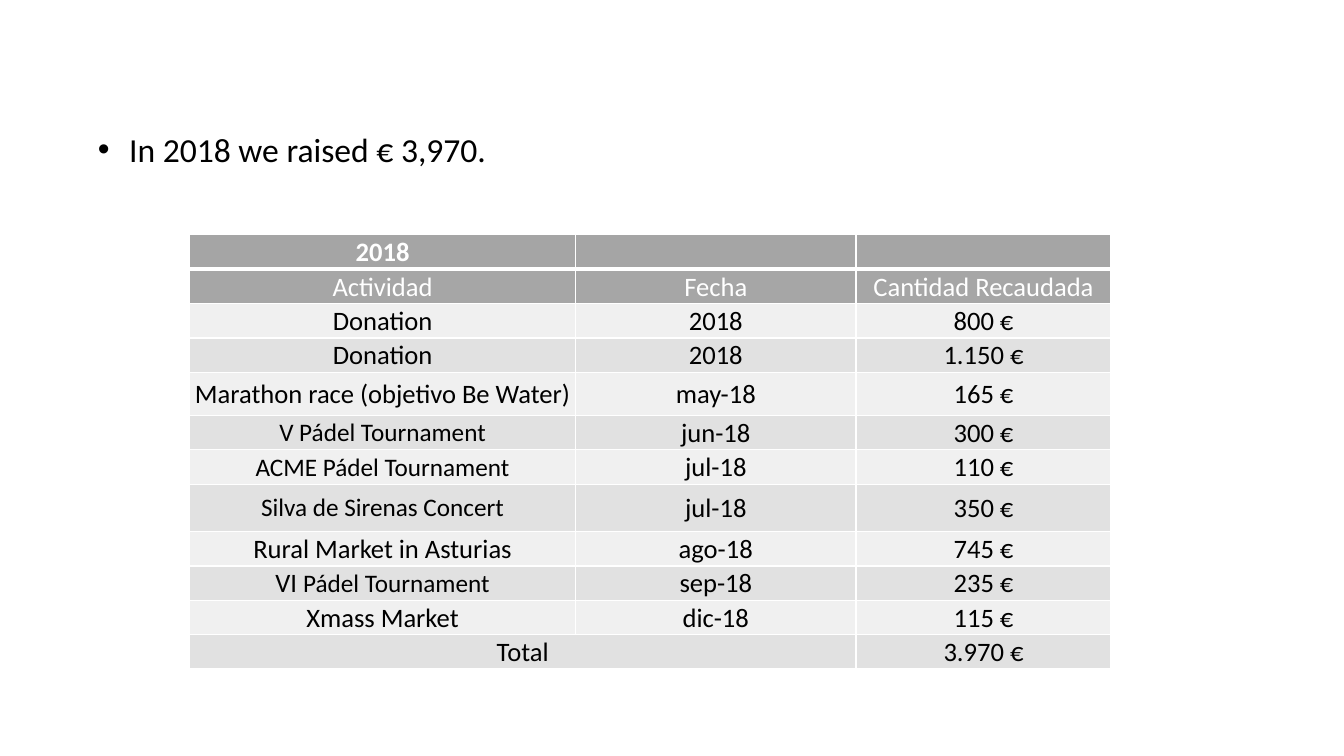
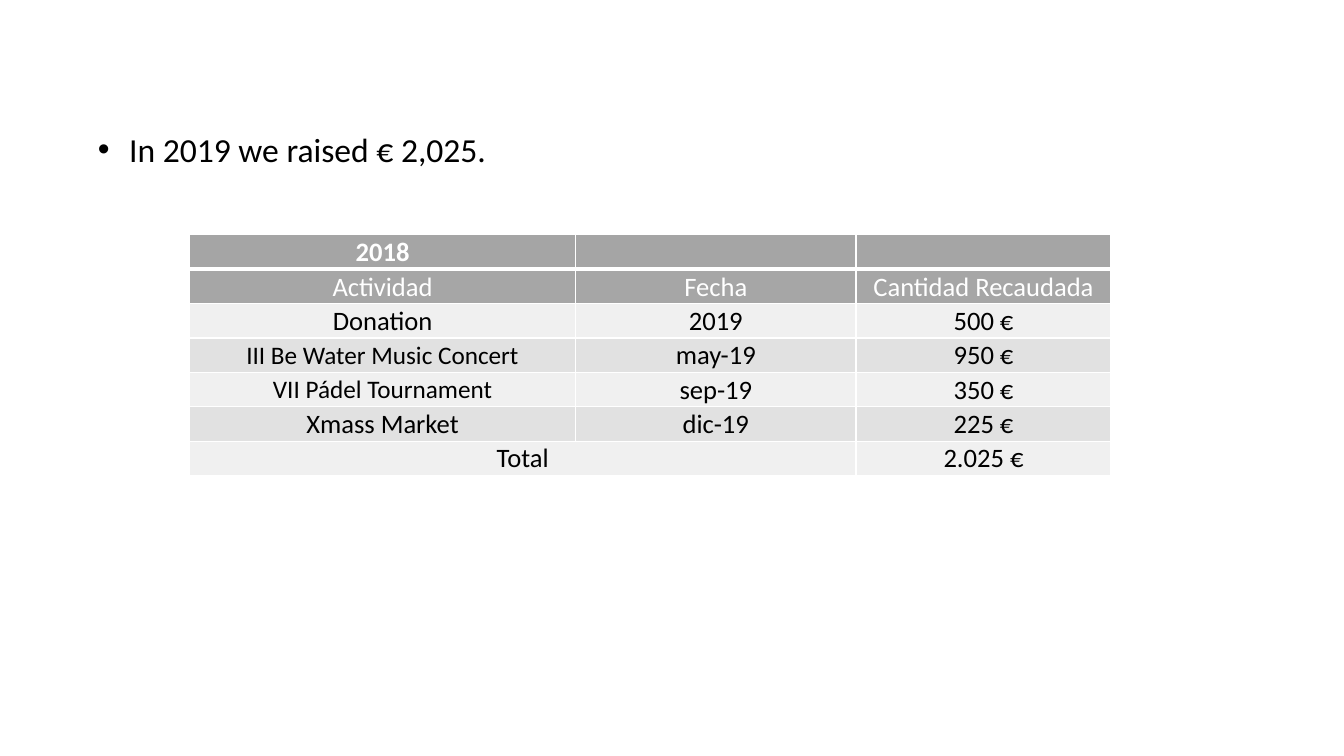
from dataclasses import dataclass

from lxml.etree import SubElement as Sub
from pptx import Presentation
from pptx.dml.color import RGBColor as Rgb
from pptx.enum.text import MSO_ANCHOR as Anchor, MSO_AUTO_SIZE as AutoSize, PP_ALIGN as Align
from pptx.oxml.ns import qn
from pptx.util import Emu, Inches, Pt


@dataclass(frozen=True)
class Theme:
    font: str = "Calibri"
    dark: str = "000000"
    light: str = "FFFFFF"
    year_fill: str = "A5A5A5"
    head_fill: str = "A6A6A6"
    bands: tuple = ("F0F0F0", "E1E1E1")
    bullet_size: int = 24
    cell_size: int = 19
    small_size: int = 18
    thin: int = 1
    thick: int = 3


# Layout in columns and rows of a 100 by 100 grid
GRID = 100
BULLET_AREA = (6.53, 16.4, 76.2, 12.13)
TABLE_CORNER = (14.1, 31.07)
COLUMN_WIDTHS = (28.73, 20.86, 18.98)
ROW_HEIGHT = 4.55

# Activity cells: a plain string, or a (normal, small) pair
HEADINGS = ("Actividad", "Fecha", "Cantidad Recaudada")
YEARS = [
    {
        "message": "In 2018 we raised € 3,970.",
        "total": "3.970 €",
        "tall_rows": {4: 5.7, 7: 6.27},
        "entries": [
            ("Donation", "2018", "800 €"),
            ("Donation", "2018", "1.150 €"),
            ("Marathon race (objetivo Be Water)", "may-18", "165 €"),
            (("", "V Pádel Tournament"), "jun-18", "300 €"),
            (("", "ACME Pádel Tournament"), "jul-18", "110 €"),
            (("", "Silva de Sirenas Concert"), "jul-18", "350 €"),
            ("Rural Market in Asturias", "ago-18", "745 €"),
            (("VI ", "Pádel Tournament"), "sep-18", "235 €"),
            ("Xmass Market", "dic-18", "115 €"),
        ],
    },
    {
        "message": "In 2019 we raised € 2,025.",
        "total": "2.025 €",
        "tall_rows": {},
        "entries": [
            ("Donation", "2019", "500 €"),
            (("", "III Be Water Music Concert"), "may-19", "950 €"),
            (("", "VII Pádel Tournament"), "sep-19", "350 €"),
            ("Xmass Market", "dic-19", "225 €"),
        ],
    },
]


def apply(target, **values):
    for name, value in values.items():
        setattr(target, name, value)


class Report:
    def __init__(self, theme):
        self.theme = theme
        self.deck = Presentation()
        apply(self.deck, slide_width=Inches(13.33), slide_height=Inches(7.5))
        self.page = None

    def across(self, columns):
        return Emu(round(self.deck.slide_width * columns / GRID))

    def down(self, rows):
        return Emu(round(self.deck.slide_height * rows / GRID))

    def add_page(self):
        self.page = self.deck.slides.add_slide(self.deck.slide_layouts[1])
        title = self.page.shapes.title
        title.element.getparent().remove(title.element)

    def add_text(self, para, text, size, color, bold=False):
        span = para.add_run()
        span.text = text
        apply(span.font, name=self.theme.font, size=Pt(size), bold=bold)
        span.font.color.rgb = Rgb.from_string(color)

    def bullet(self, text):
        left, top, width, height = BULLET_AREA
        box = self.page.placeholders[1]
        apply(box, left=self.across(left), top=self.down(top),
              width=self.across(width), height=self.down(height))
        apply(box.text_frame, word_wrap=True, auto_size=AutoSize.NONE,
              vertical_anchor=Anchor.TOP)
        para = box.text_frame.paragraphs[0]
        apply(para, alignment=Align.JUSTIFY, space_before=Pt(0))
        props = para._p.get_or_add_pPr()
        props.set("marL", str(Inches(0.31)))
        props.set("indent", str(-Inches(0.31)))
        Sub(props, qn("a:buFont"), typeface="Arial")
        Sub(props, qn("a:buChar"), char="•")
        self.add_text(para, text, self.theme.bullet_size, self.theme.dark)

    def borders(self, cell, **widths):
        props = cell._tc.get_or_add_tcPr()
        for place, side in enumerate("LRTB"):
            width = widths.get(side, self.theme.thin)
            line = Sub(props, qn(f"a:ln{side}"), w=str(Pt(width)))
            fill = Sub(line, qn("a:solidFill"))
            Sub(fill, qn("a:srgbClr"), val=self.theme.light)
            props.insert(place, line)

    def cell(self, cell, content, fill, color, bold=False, **widths):
        apply(cell, vertical_anchor=Anchor.MIDDLE, margin_left=Inches(0.01),
              margin_right=Inches(0.01), margin_top=Inches(0.01), margin_bottom=0)
        cell.fill.solid()
        cell.fill.fore_color.rgb = Rgb.from_string(fill)
        self.borders(cell, **widths)
        para = cell.text_frame.paragraphs[0]
        para.alignment = Align.CENTER
        parts = (content,) if isinstance(content, str) else content
        for text, size in zip(parts, (self.theme.cell_size, self.theme.small_size)):
            if text:
                self.add_text(para, text, size, color, bold)

    def row_style(self, row):
        theme = self.theme
        if row == 0:
            return dict(fill=theme.year_fill, color=theme.light, bold=True, B=theme.thick)
        if row == 1:
            return dict(fill=theme.head_fill, color=theme.light, T=theme.thick)
        return dict(fill=theme.bands[row % 2], color=theme.dark)

    def table(self, entries, total, tall_rows):
        rows = [("2018", "", ""), HEADINGS, *entries, ("Total", "", total)]
        heights = [tall_rows.get(row, ROW_HEIGHT) for row in range(len(rows))]
        left, top = TABLE_CORNER
        table = self.page.shapes.add_table(
            len(rows), len(COLUMN_WIDTHS), self.across(left), self.down(top),
            self.across(sum(COLUMN_WIDTHS)), self.down(sum(heights))).table
        apply(table, first_row=False, horz_banding=False)
        for column, width in zip(table.columns, COLUMN_WIDTHS):
            column.width = self.across(width)
        for row, (contents, height) in enumerate(zip(rows, heights)):
            table.rows[row].height = self.down(height)
            for column, content in enumerate(contents):
                self.cell(table.cell(row, column), content, **self.row_style(row))
        # The total label spans activity and date
        last = len(rows) - 1
        table.cell(last, 0).merge(table.cell(last, 1))


def main():
    report = Report(Theme())
    for year in YEARS:
        report.add_page()
        report.bullet(year["message"])
        report.table(year["entries"], year["total"], year["tall_rows"])
    report.deck.save("out.pptx")


if __name__ == "__main__":
    main()
